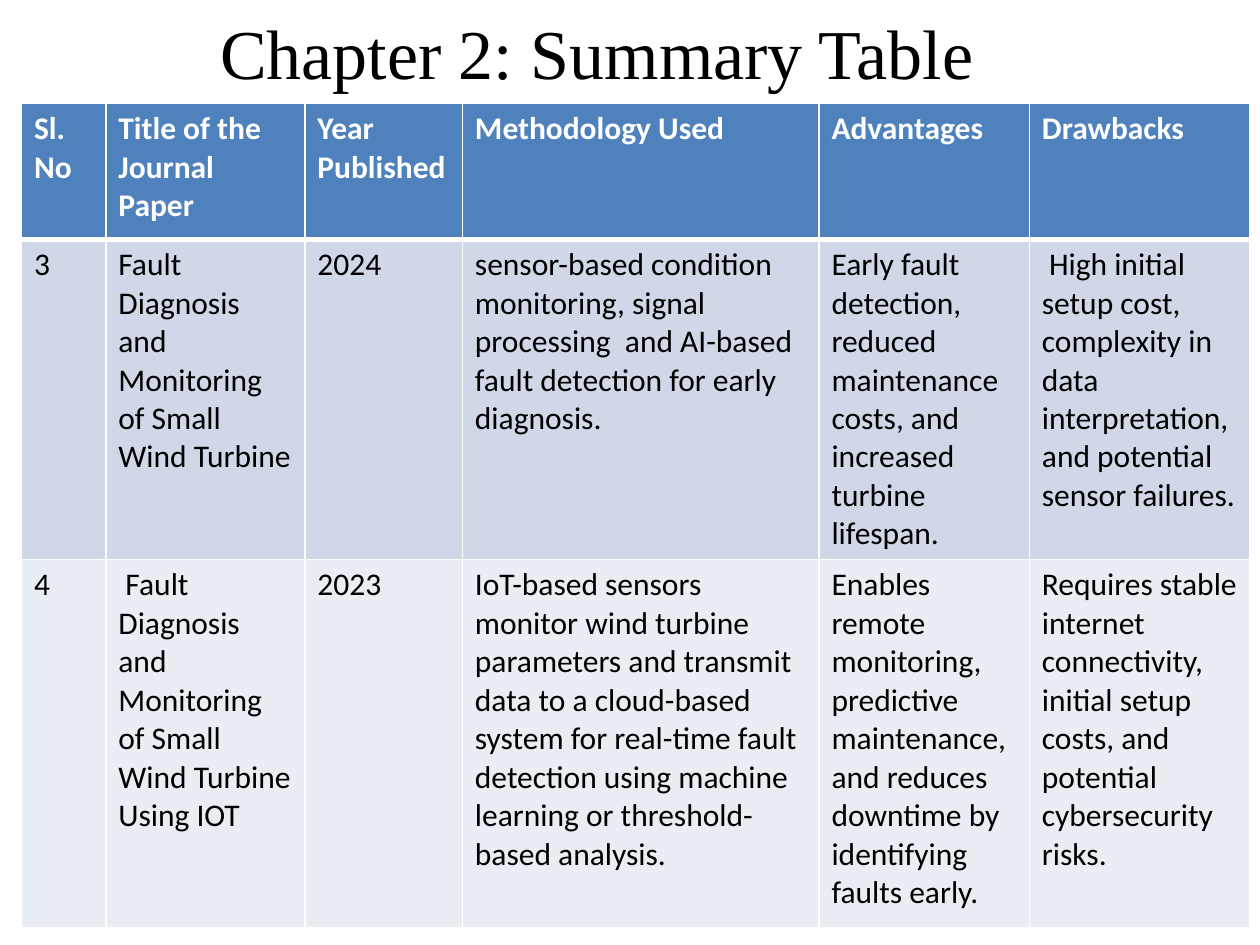
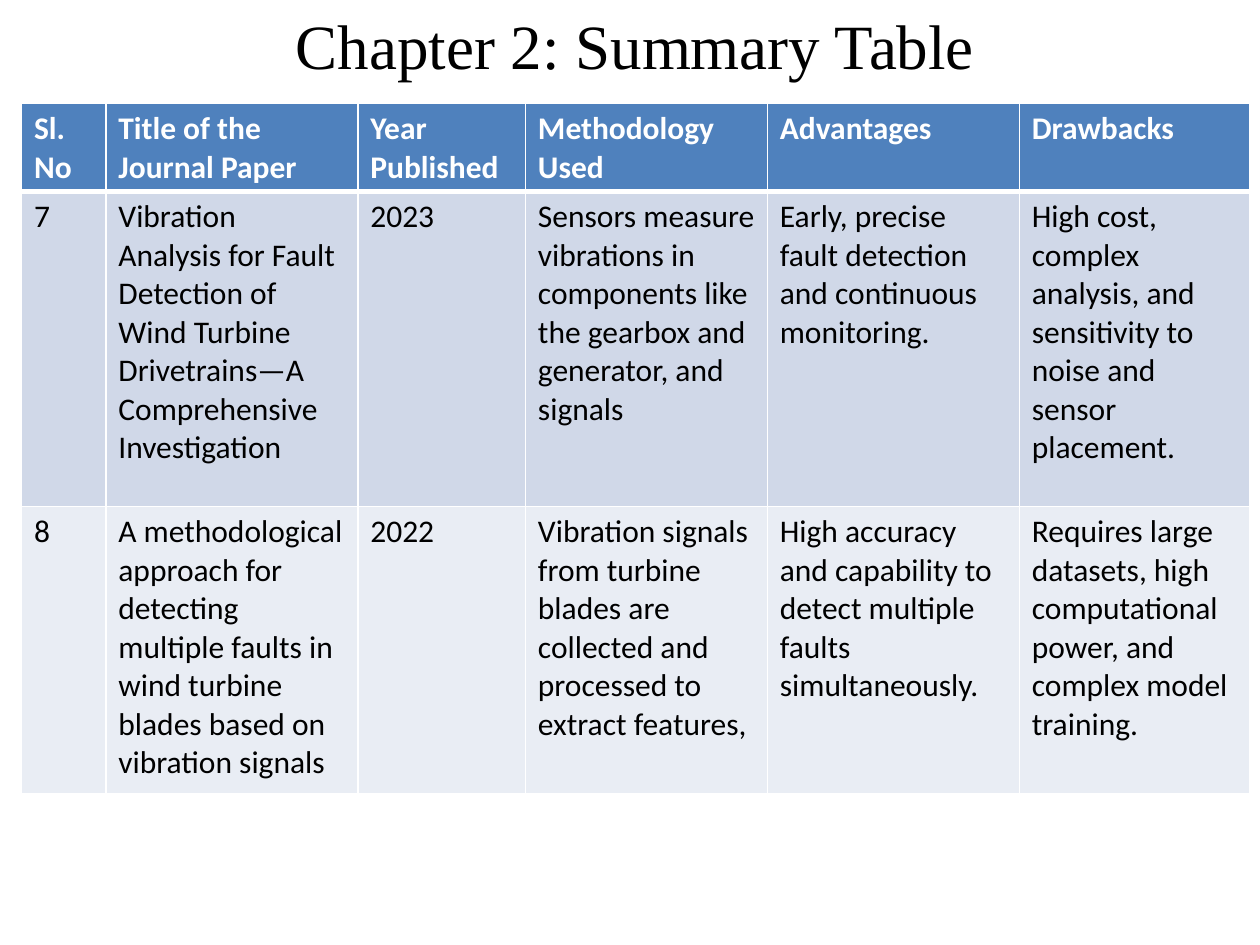
from pptx import Presentation
from pptx.dml.color import RGBColor
from pptx.enum.text import MSO_AUTO_SIZE
from pptx.oxml.ns import qn
from pptx.util import Inches, Pt
from lxml import etree

WHITE = RGBColor(0xFF, 0xFF, 0xFF)
BLACK = RGBColor(0x00, 0x00, 0x00)
BLUE = RGBColor(0x4F, 0x81, 0xBD)
BANDS = [RGBColor(0xD0, 0xD8, 0xE8), RGBColor(0xE9, 0xED, 0xF4)]
FIT = MSO_AUTO_SIZE.SHAPE_TO_FIT_TEXT

WIDE, HIGH = 10, 7.5
LEFT, TOP = 0.17, 0.82
THIN, THICK = 1, 3
TITLE = "Chapter 2: Summary Table"
HEADS = ["Sl. No", "Title of the Journal Paper", "Year Published",
         "Methodology Used", "Advantages", "Drawbacks"]

FAULTS = [
    ["3", "Fault Diagnosis and Monitoring of Small Wind Turbine", "2024",
     "sensor-based condition monitoring, signal processing  and AI-based "
     "fault detection for early diagnosis.",
     "Early fault detection, reduced maintenance costs, and increased "
     "turbine lifespan.",
     " High initial setup cost, complexity in data interpretation, and "
     "potential sensor failures."],
    ["4", " Fault Diagnosis and Monitoring of Small Wind Turbine Using IOT",
     "2023",
     "IoT-based sensors monitor wind turbine parameters and transmit data "
     "to a cloud-based system for real-time fault detection using machine "
     "learning or threshold-based analysis.",
     "Enables remote monitoring, predictive maintenance, and reduces "
     "downtime by identifying faults early.",
     "Requires stable internet connectivity, initial setup costs, and "
     "potential cybersecurity risks."],
]
SIGNALS = [
    ["7", "Vibration Analysis for Fault Detection of Wind Turbine "
     "Drivetrains—A Comprehensive Investigation", "2023",
     "Sensors measure vibrations in components like the gearbox and "
     "generator, and signals",
     "Early, precise fault detection and continuous monitoring.",
     "High cost, complex analysis, and sensitivity to noise and sensor "
     "placement."],
    ["8", "A methodological approach for detecting multiple faults in wind "
     "turbine blades based on vibration signals", "2022",
     "Vibration signals from turbine blades are collected and processed to "
     "extract features,",
     "High accuracy and capability to detect multiple faults "
     "simultaneously.",
     "Requires large datasets, high computational power, and complex model "
     "training."],
]


def style(frame, face, size, color, bold=False):
    for run in frame.paragraphs[0].runs:
        font = run.font
        font.name, font.size, font.bold = face, Pt(size), bold
        font.color.rgb = color


def add_title(slide, area, size, wrap):
    frame = slide.shapes.add_textbox(*map(Inches, area)).text_frame
    frame.text = TITLE
    frame.word_wrap = wrap
    frame.auto_size = FIT
    style(frame, "Times New Roman", size, BLACK)


def add_edges(cell, top, base):
    props = cell._tc.get_or_add_tcPr()
    for side, width in zip("LRTB", (THIN, THIN, top, base)):
        line = etree.SubElement(props, qn(f"a:ln{side}"), w=str(Pt(width)))
        fill = etree.SubElement(line, qn("a:solidFill"))
        etree.SubElement(fill, qn("a:srgbClr"), val=str(WHITE))


def fill_cell(cell, text, row):
    head = row == 0
    cell.text_frame.text = text
    style(cell.text_frame, "Calibri", 18, WHITE if head else BLACK, head)
    add_edges(cell, THICK if row == 1 else THIN, THICK if head else THIN)
    cell.fill.solid()
    cell.fill.fore_color.rgb = BLUE if head else BANDS[(row - 1) % 2]


def add_grid(slide, papers, widths, heights):
    rows = [HEADS] + papers
    area = LEFT, TOP, sum(widths), sum(heights)
    table = slide.shapes.add_table(
        len(rows), len(HEADS), *map(Inches, area)).table
    for col, width in zip(table.columns, widths):
        col.width = Inches(width)
    for row, height in zip(table.rows, heights):
        row.height = Inches(height)
    for r, texts in enumerate(rows):
        for c, text in enumerate(texts):
            fill_cell(table.cell(r, c), text, r)


def main():
    deck = Presentation()
    deck.slide_width, deck.slide_height = Inches(WIDE), Inches(HIGH)
    blank = deck.slide_layouts[6]

    slide = deck.slides.add_slide(blank)
    add_grid(slide, FAULTS, [0.67, 1.58, 1.25, 2.83, 1.67, 1.75],
             [1.08, 2.53, 2.92])
    add_title(slide, (1.65, 0.03, 7.58, 0.77), 40, True)

    slide = deck.slides.add_slide(blank)
    add_title(slide, (2.25, 0, 5.64, 0.71), 36, False)
    add_grid(slide, SIGNALS, [0.67, 2, 1.33, 1.92, 2, 1.83],
             [0.69, 2.5, 2.28])

    deck.save("out.pptx")


if __name__ == "__main__":
    main()
